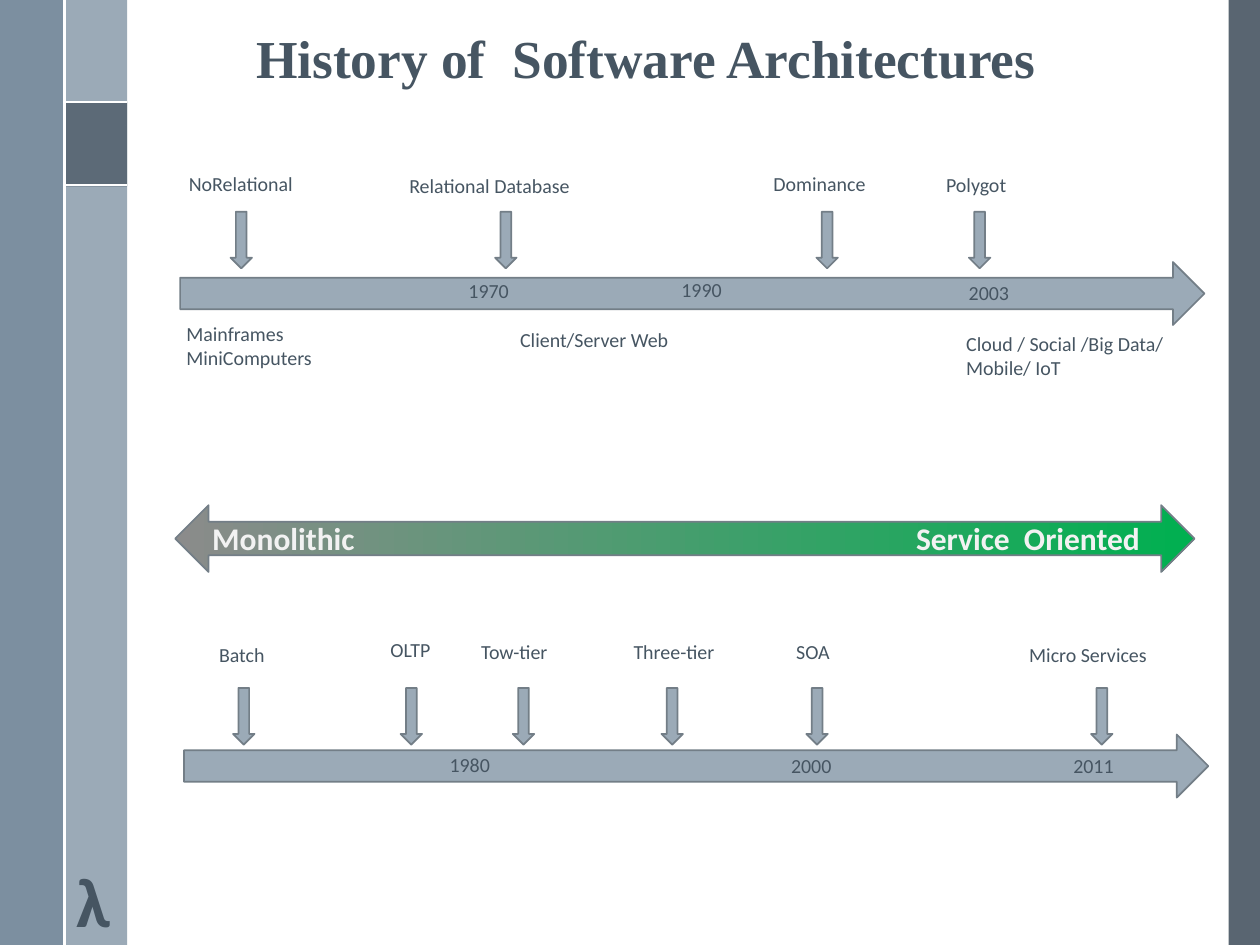
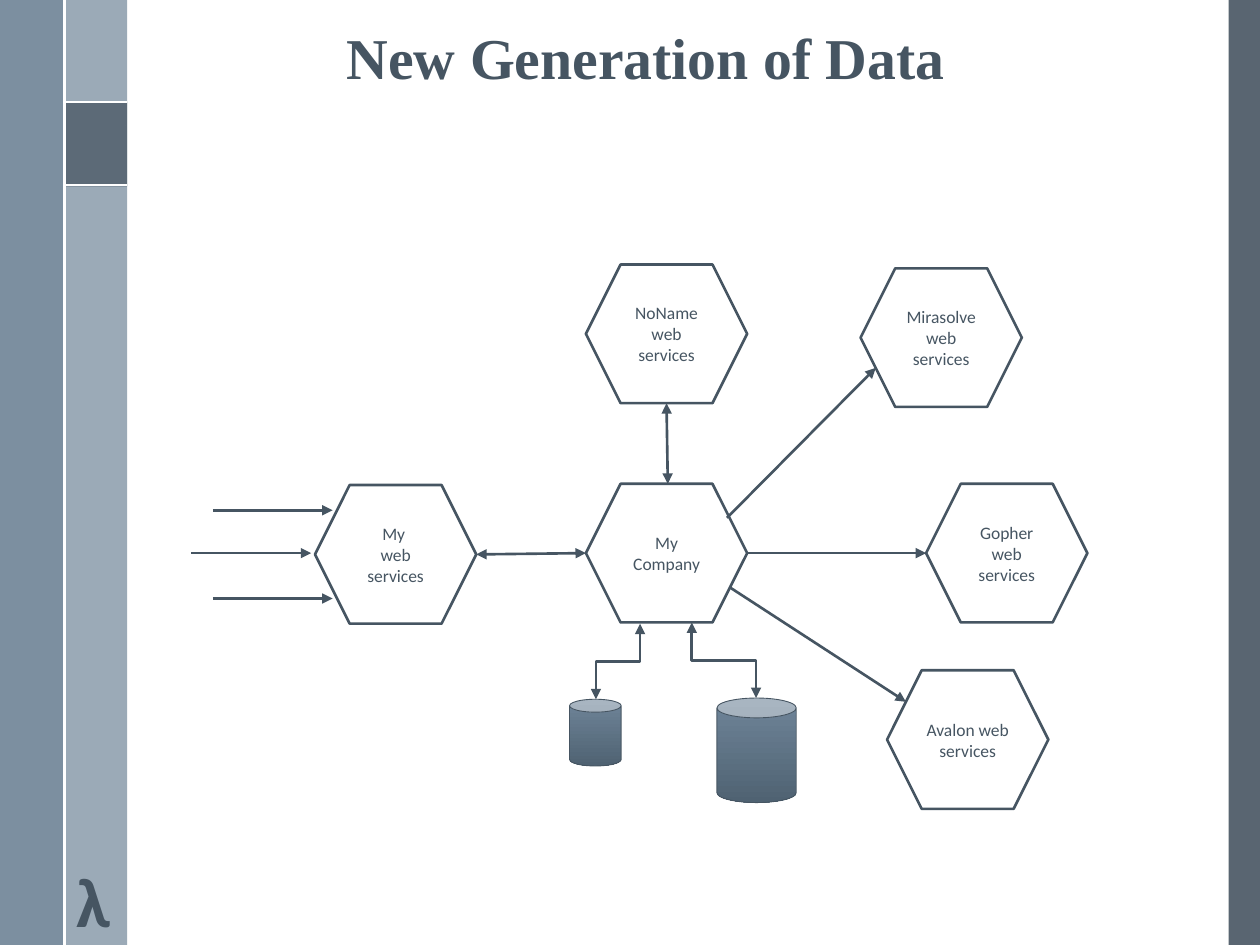
from lxml import etree
from pptx import Presentation
from pptx.dml.color import RGBColor
from pptx.enum.shapes import MSO_CONNECTOR as Link, MSO_SHAPE as Shape
from pptx.enum.text import MSO_ANCHOR as Anchor, PP_ALIGN as Align
from pptx.oxml.ns import qn
from pptx.util import Inches, Pt

# Shared look
INK = "465562"
SLATE = "475562"
STEEL = "6A8093"
MIST = "9BAAB7"
OUTLINE = "737E87"
WHITE = "FFFFFF"
PALE = "F2F2F2"
BODY_FONT = "Calibri"
TITLE_FONT = "Times New Roman"

PI_OUTLINE = [
    (0.89, 0.98), (0.68, 0.98), (0.65, 0.99), (0.63, 1.02), (0.62, 1.04),
    (0.63, 1.05), (0.64, 1.05), (0.65, 1.02), (0.68, 1.01), (0.71, 1.01),
    (0.7, 1.12), (0.69, 1.2), (0.66, 1.27), (0.66, 1.29), (0.67, 1.29),
    (0.7, 1.23), (0.71, 1.14), (0.72, 1.01), (0.8, 1.01), (0.78, 1.22),
    (0.78, 1.26), (0.8, 1.29), (0.83, 1.3), (0.86, 1.29), (0.88, 1.26),
    (0.89, 1.22), (0.88, 1.21), (0.87, 1.22), (0.86, 1.26), (0.83, 1.28),
    (0.81, 1.27), (0.8, 1.25), (0.8, 1.22), (0.82, 1.01), (0.89, 1.01),
    (0.9, 1.0)]


def color(hex_code):
    return RGBColor.from_string(hex_code)


def inches(*lengths):
    return [Inches(length) for length in lengths]


# Element builders
def paint(shape, fill, line=None, width=1, opacity=100):
    """Fill with one colour, or with a (start, end, angle) gradient."""
    shape.shadow.inherit = False
    if isinstance(fill, tuple):
        start, end, angle = fill
        shape.fill.gradient()
        shape.fill.gradient_angle = angle
        for stop, shade in zip(shape.fill.gradient_stops, (start, end)):
            stop.color.rgb = color(shade)
    else:
        shape.fill.solid()
        shape.fill.fore_color.rgb = color(fill)
    if opacity < 100:
        shade = shape._element.spPr.find(qn("a:solidFill"))[0]
        etree.SubElement(shade, qn("a:alpha"), val=str(opacity * 1000))
    if line:
        shape.line.color.rgb = color(line)
        shape.line.width = Pt(width)
    else:
        shape.line.fill.background()


def add_block(slide, kind, box, fill, line=None, width=1, opacity=100):
    block = slide.shapes.add_shape(kind, *inches(*box))
    paint(block, fill, line, width, opacity)
    return block


def write(frame, lines, size, shade=INK, font=BODY_FONT, bold=False,
          align=Align.LEFT, anchor=Anchor.TOP):
    frame.word_wrap = True
    frame.vertical_anchor = anchor
    for number, line in enumerate(lines):
        paragraph = frame.add_paragraph() if number else frame.paragraphs[0]
        paragraph.alignment = align
        run = paragraph.add_run()
        run.text = line
        run.font.size = Pt(size)
        run.font.name = font
        run.font.bold = bold
        run.font.color.rgb = color(shade)


def add_text(slide, box, lines, size, **style):
    label = slide.shapes.add_textbox(*inches(*box))
    write(label.text_frame, lines, size, **style)
    return label


def add_centered(slide, box, text, size, **style):
    frame = add_text(slide, box, [text], size, bold=True, align=Align.CENTER,
                     anchor=Anchor.MIDDLE, **style).text_frame
    frame.margin_left = frame.margin_right = Inches(0.07)
    frame.margin_top = frame.margin_bottom = Inches(0.04)


def add_line(slide, start, end, shade=INK, heads="", kind=Link.STRAIGHT):
    link = slide.shapes.add_connector(kind, *inches(*start, *end))
    link.line.color.rgb = color(shade)
    link.line.width = Pt(1.5)
    outline = link.line._get_or_add_ln()
    for head in heads.split():
        etree.SubElement(outline, qn("a:" + head), type="triangle")
    etree.SubElement(link._element.spPr, qn("a:effectLst"))
    return link


def add_drop(slide, start, end):
    """Elbow that leaves and arrives vertically: a turned horizontal elbow."""
    (x1, y1), (x2, y2) = start, end
    mid_x, mid_y = (x1 + x2) / 2, (y1 + y2) / 2
    half_run, half_rise = (y2 - y1) / 2, abs(x2 - x1) / 2
    turn, side = (270, -1) if x2 > x1 else (90, 1)
    link = add_line(slide, (mid_x - side * half_run, mid_y - half_rise),
                    (mid_x + side * half_run, mid_y + half_rise),
                    heads="headEnd tailEnd", kind=Link.ELBOW)
    link._element.spPr.find(qn("a:xfrm")).set("rot", str(turn * 60000))


def add_frame(slide, title, title_size):
    # Side bands
    add_block(slide, Shape.RECTANGLE, (9.75, 0, 0.25, 7.5), SLATE, opacity=90)
    add_block(slide, Shape.RECTANGLE, (0.51, 0, 0.5, 7.5), MIST)
    add_block(slide, Shape.RECTANGLE, (0, 0, 0.5, 7.5), STEEL, opacity=88)
    # Pi badge and white rules
    add_block(slide, Shape.RECTANGLE, (0.51, 0.81, 0.5, 0.67), SLATE, opacity=75)
    for y in (0.81, 1.47):
        add_line(slide, (0.51, y), (1.01, y), WHITE)
    pen = slide.shapes.build_freeform(*PI_OUTLINE[0], scale=Inches(1))
    pen.add_line_segments(PI_OUTLINE[1:], close=True)
    paint(pen.convert_to_shape(), WHITE)
    add_line(slide, (0.51, 0), (0.51, 7.5), WHITE)
    # Lambda and title
    add_text(slide, (0.51, 6.76, 0.54, 0.77), ["λ"], 40, bold=True)
    add_centered(slide, (1.75, -0.02, 6.75, 0.94), title, title_size,
                 font=TITLE_FONT)


def add_timeline(slide, axis_left, axis_top, marker_top, markers, labels):
    add_block(slide, Shape.RIGHT_ARROW, (axis_left, axis_top, 8.13, 0.5),
              MIST, OUTLINE)
    for x in markers:
        add_block(slide, Shape.DOWN_ARROW, (x, marker_top, 0.17, 0.45),
                  MIST, OUTLINE)
    for x, y, width, *lines in labels:
        height = 0.32 + 0.21 * (len(lines) - 1)
        add_text(slide, (x, y, width, height), lines, 11.4)


# Slides
def build_history(slide):
    add_frame(slide, "History of  Software Architectures", 30.5)
    add_timeline(slide, 1.46, 5.83, 5.46, (1.85, 3.18, 4.07, 5.25, 6.4, 8.66), [
        (3.47, 5.92, 0.57, "1980"),
        (6.18, 5.93, 0.57, "2000"),
        (8.42, 5.93, 0.57, "2011"),
        (1.64, 5.05, 0.62, "Batch"),
        (3.0, 5.01, 0.58, "OLTP"),
        (3.72, 5.03, 0.81, "Tow-tier"),
        (4.93, 5.03, 0.92, "Three-tier"),
        (6.22, 5.03, 0.51, "SOA"),
        (8.07, 5.05, 1.9, "Micro Services")])
    add_timeline(slide, 1.43, 2.08, 1.68, (1.83, 3.93, 6.48, 7.69), [
        (3.62, 2.16, 0.57, "1970"),
        (5.31, 2.15, 0.57, "1990"),
        (7.59, 2.18, 0.57, "2003"),
        (1.4, 1.31, 1.21, "NoRelational"),
        (3.15, 1.33, 1.76, "Relational Database"),
        (6.04, 1.31, 1.07, "Dominance"),
        (7.41, 1.32, 0.75, "Polygot"),
        (1.38, 2.5, 1.31, "Mainframes", "MiniComputers"),
        (4.03, 2.55, 2.07, "Client/Server Web"),
        (7.57, 2.58, 2.07, "Cloud / Social /Big Data/", "Mobile/ IoT")])
    # Shift from monolith to services
    add_block(slide, Shape.LEFT_RIGHT_ARROW, (1.39, 4.01, 8.09, 0.53),
              ("8B8B8B", "00B050", 0), OUTLINE)
    add_centered(slide, (1.61, 4.08, 1.28, 0.38), "Monolithic", 18, shade=PALE)
    add_centered(slide, (6.91, 4.08, 2.5, 0.38), "Service  Oriented", 18,
                 shade=PALE)


def build_new_generation(slide):
    add_frame(slide, "New Generation of Data", 33)
    # Services
    for x, y, *lines in [
            (7.35, 3.84, "Gopher web services"),
            (7.04, 5.32, "Avalon web services"),
            (4.65, 2.1, "NoName web services"),
            (6.83, 2.13, "Mirasolve web services"),
            (4.65, 3.84, "My Company"),
            (2.5, 3.85, "My ", "web services")]:
        service = add_block(slide, Shape.HEXAGON, (x, y, 1.28, 1.1), WHITE,
                            INK, 1.5)
        write(service.text_frame, lines, 10, align=Align.CENTER,
              anchor=Anchor.MIDDLE)
    # Data stores
    for store in [(4.52, 5.55, 0.41, 0.53), (5.69, 5.54, 0.63, 0.83)]:
        add_block(slide, Shape.CAN, store, ("6F8599", "4F6272", 270), INK, 0.5)
    add_drop(slide, (5.49, 4.94), (6, 5.54))
    add_drop(slide, (5.08, 4.95), (4.73, 5.55))
    # Outgoing calls
    for start, end in [((5.77, 4.11), (6.95, 2.92)),
                       ((5.93, 4.39), (7.35, 4.39)),
                       ((5.79, 4.66), (7.19, 5.57))]:
        add_line(slide, start, end, heads="tailEnd")
    # Two-way exchanges
    for start, end in [((3.78, 4.4), (4.65, 4.39)),
                       ((5.29, 3.2), (5.3, 3.84))]:
        add_line(slide, start, end, heads="headEnd tailEnd")
    # Incoming requests
    for x, y in [(1.69, 4.05), (1.52, 4.39), (1.69, 4.75)]:
        add_line(slide, (x, y), (x + 0.95, y), heads="tailEnd")


def main():
    deck = Presentation()
    deck.slide_width, deck.slide_height = inches(10, 7.5)
    blank = deck.slide_layouts[6]
    for build in (build_history, build_new_generation):
        build(deck.slides.add_slide(blank))
    deck.save("out.pptx")


if __name__ == "__main__":
    main()
